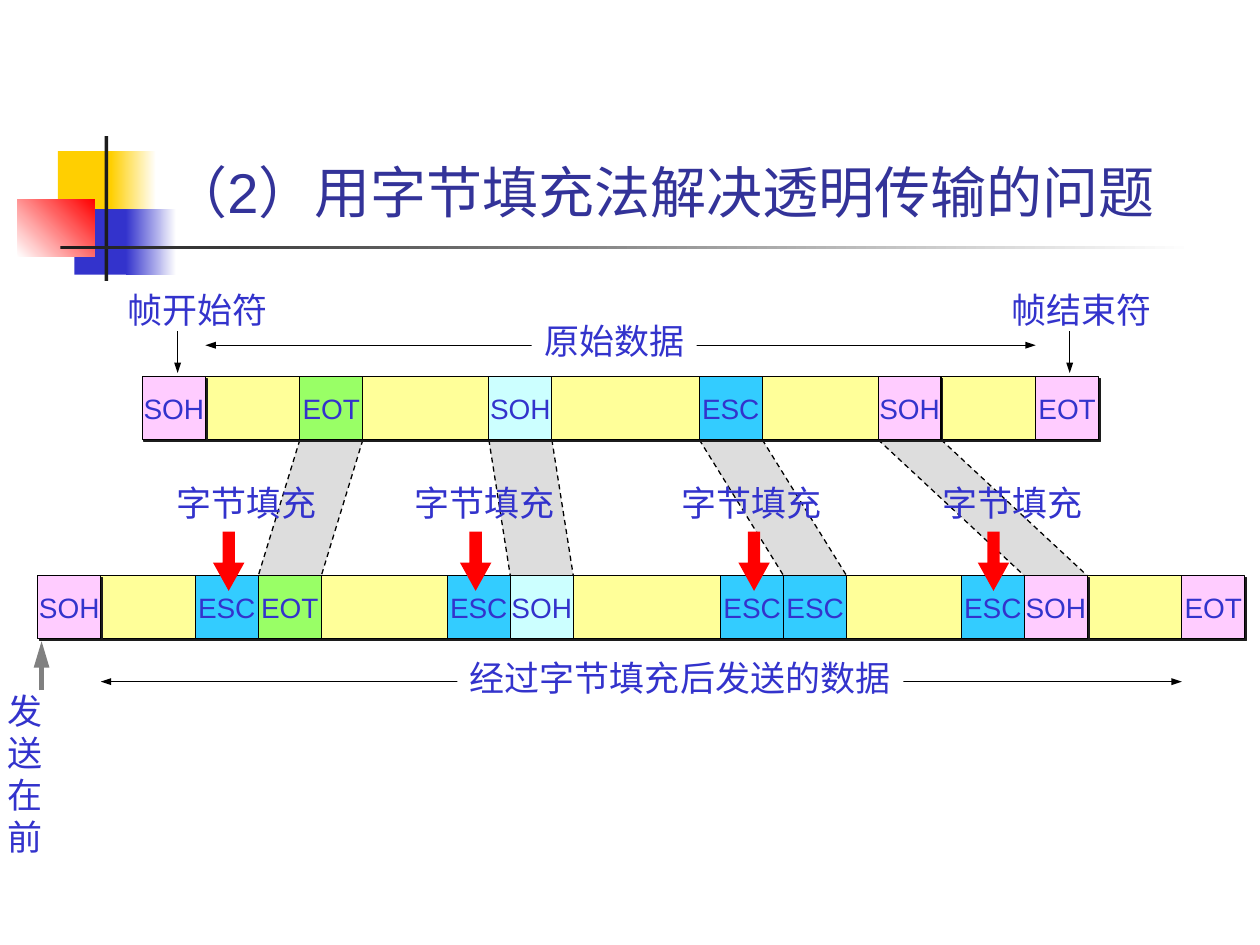
from lxml.etree import SubElement
from pptx import Presentation
from pptx.dml.color import RGBColor
from pptx.enum.dml import MSO_LINE
from pptx.enum.shapes import MSO_CONNECTOR, MSO_SHAPE
from pptx.enum.text import MSO_ANCHOR, MSO_AUTO_SIZE, PP_ALIGN
from pptx.oxml.ns import qn
from pptx.util import Inches, Pt

COLORS = {
    "text": "3333CC", "title": "333399", "line": "000000", "white": "FFFFFF",
    "gold": "FFCF01", "blue": "3333CC", "red": "FF0000", "dark": "1C1C1C",
    "frame": "FFCCFF", "data": "FFFF99", "eot": "99FF66", "soh": "CCFFFF",
    "esc": "33CCFF", "band": "DDDDDD", "grey": "808080",
}
CELL = 0.5
ORIGINAL_TOP, SENT_TOP = 2.99, 4.57

# left, text, colour; the first and last cells delimit the frame
ORIGINAL_CELLS = [
    (1.13, "SOH", "frame"), (2.38, "EOT", "eot"), (3.88, "SOH", "soh"),
    (5.55, "ESC", "esc"), (6.97, "SOH", "frame"), (8.22, "EOT", "frame"),
]
SENT_CELLS = [
    (0.3, "SOH", "frame"), (1.55, "ESC", "esc"), (2.05, "EOT", "eot"),
    (3.55, "ESC", "esc"), (4.05, "SOH", "soh"), (5.72, "ESC", "esc"),
    (6.22, "ESC", "esc"), (7.63, "ESC", "esc"), (8.13, "SOH", "frame"),
    (9.38, "EOT", "frame"),
]
# left of the byte before and after stuffing, of the label and of its arrow
STUFFINGS = [
    (2.38, 2.05, 1.3, 1.69), (3.88, 4.05, 3.19, 3.65),
    (5.55, 6.22, 5.31, 5.86), (6.97, 8.13, 7.38, 7.76),
]


def rgb(name):
    return RGBColor.from_string(COLORS[name])


def write(frame, text, size=20, color="text", align=PP_ALIGN.LEFT,
          anchor=MSO_ANCHOR.TOP, wrap=False, fit=MSO_AUTO_SIZE.NONE):
    frame.text = text
    frame.word_wrap = wrap
    frame.auto_size = fit
    frame.vertical_anchor = anchor
    for paragraph in frame.paragraphs:
        paragraph.alignment = align
        paragraph.font.size = Pt(size)
        paragraph.font.name = "Arial"
        paragraph.font.color.rgb = rgb(color)


def add_block(slide, left, top, width, height, color, kind=MSO_SHAPE.RECTANGLE):
    block = slide.shapes.add_shape(
        kind, Inches(left), Inches(top), Inches(width), Inches(height))
    block.shadow.inherit = False
    block.fill.solid()
    block.fill.fore_color.rgb = rgb(color)
    block.line.fill.background()
    return block


def add_fade(slide, left, top, width, height, start, end, angle=0):
    """Add a rectangle that shades from one colour to another."""
    fade = add_block(slide, left, top, width, height, start)
    fade.fill.gradient()
    fade.fill.gradient_angle = angle
    for stop, color in zip(fade.fill.gradient_stops, (start, end)):
        stop.color.rgb = rgb(color)


def add_hard_shadow(shape):
    effects = shape.element.spPr.find(qn("a:effectLst"))
    shadow = SubElement(effects, qn("a:outerShdw"), dist=str(Pt(1.4)),
                        dir="2700000", algn="ctr", rotWithShape="0")
    SubElement(shadow, qn("a:srgbClr"), val=COLORS["dark"])


def add_cell(slide, left, top, color, width=CELL, text=""):
    cell = add_block(slide, left, top, width, CELL, color)
    cell.line.color.rgb = rgb("line")
    cell.line.width = Pt(0.75)
    if color in ("frame", "data"):
        add_hard_shadow(cell)
    if text:
        write(cell.text_frame, text, size=16, align=PP_ALIGN.CENTER,
              anchor=MSO_ANCHOR.MIDDLE)


def add_byte_row(slide, top, cells):
    start, end = cells[0][0] + CELL, cells[-1][0]
    add_cell(slide, start, top, "data", width=end - start)
    for left, text, color in cells:
        add_cell(slide, left, top, color, text=text)


def add_line(slide, x1, y1, x2, y2, color="line", weight=0.75, dashed=False,
             ends=(), head=("sm", "med")):
    """Add a line; ends lists headEnd and tailEnd, head is its width and length."""
    line = slide.shapes.add_connector(
        MSO_CONNECTOR.STRAIGHT, Inches(x1), Inches(y1), Inches(x2), Inches(y2))
    line.line.color.rgb = rgb(color)
    line.line.width = Pt(weight)
    if dashed:
        line.line.dash_style = MSO_LINE.DASH
    outline = line.line._get_or_add_ln()
    for end in ends:
        SubElement(outline, qn("a:" + end), type="triangle", w=head[0], len=head[1])
    SubElement(line.element.spPr, qn("a:effectLst"))


def add_label(slide, left, top, width, text, height=0.44, filled=False):
    label = slide.shapes.add_textbox(
        Inches(left), Inches(top), Inches(width), Inches(height))
    if filled:
        label.fill.solid()
        label.fill.fore_color.rgb = rgb("white")
    write(label.text_frame, text, fit=MSO_AUTO_SIZE.SHAPE_TO_FIT_TEXT)


def add_band(slide, upper, lower):
    """Link a byte in the upper row to its place in the lower row."""
    top, bottom = ORIGINAL_TOP + CELL, SENT_TOP
    corners = [(upper, top), (upper + CELL, top),
               (lower + CELL, bottom), (lower, bottom)]
    points = [(Inches(x), Inches(y)) for x, y in corners]
    builder = slide.shapes.build_freeform(*points[0])
    builder.add_line_segments(points[1:])
    band = builder.convert_to_shape()
    band.shadow.inherit = False
    band.fill.solid()
    band.fill.fore_color.rgb = rgb("band")
    band.line.fill.background()
    for offset in (0, CELL):
        add_line(slide, upper + offset, top, lower + offset, bottom, dashed=True)


def add_decoration(slide):
    add_block(slide, 0.46, 1.2, 0.48, 0.52, "gold")
    add_fade(slide, 0.88, 1.2, 0.36, 0.52, "gold", "white")
    add_block(slide, 0.59, 1.66, 0.46, 0.52, "blue")
    add_fade(slide, 1, 1.66, 0.4, 0.52, "blue", "white")
    add_fade(slide, 0.14, 1.58, 0.61, 0.46, "white", "red", angle=45)
    add_block(slide, 0.83, 1.08, 0.03, 1.15, "dark")
    add_fade(slide, 0.48, 1.95, 9, 0.03, "dark", "white")


def add_title(slide, text):
    title = slide.shapes.title
    title.left, title.top = Inches(1.26), Inches(0.23)
    title.width, title.height = Inches(8.15), Inches(1.6)
    write(title.text_frame, text, size=32, color="title",
          anchor=MSO_ANCHOR.BOTTOM, wrap=True)


def add_span(slide, cells, y, left, width, text):
    """Mark the data between the delimiters with a labelled double arrow."""
    add_line(slide, cells[0][0] + CELL, y, cells[-1][0], y,
             ends=("headEnd", "tailEnd"))
    add_label(slide, left, y - 0.25, width, text, filled=True)


def main():
    deck = Presentation()
    deck.slide_width, deck.slide_height = Inches(10), Inches(7.5)
    slide = deck.slides.add_slide(deck.slide_layouts[5])

    add_decoration(slide)
    add_title(slide, "（2）用字节填充法解决透明传输的问题")

    for upper, lower, _, _ in STUFFINGS:
        add_band(slide, upper, lower)
    add_byte_row(slide, ORIGINAL_TOP, ORIGINAL_CELLS)
    add_byte_row(slide, SENT_TOP, SENT_CELLS)
    add_span(slide, ORIGINAL_CELLS, 2.74, 4.22, 1.31, "原始数据")
    add_span(slide, SENT_CELLS, 5.41, 3.63, 3.54, "经过字节填充后发送的数据")

    for _, _, label_left, arrow_left in STUFFINGS:
        add_label(slide, label_left, 3.77, 1.31, "字节填充")
        arrow = add_block(slide, arrow_left, 4.22, 0.25, 0.47, "red",
                          MSO_SHAPE.DOWN_ARROW)
        arrow.adjustments[0], arrow.adjustments[1] = 0.39, 0.9

    for left, arrow_x, text in [(0.91, 1.41, "帧开始符"), (7.93, 8.49, "帧结束符")]:
        add_label(slide, left, 2.24, 1.31, text)
        add_line(slide, arrow_x, 2.63, arrow_x, 2.96, ends=("tailEnd",))

    add_line(slide, 0.33, 5.48, 0.33, 5.09, color="grey", weight=3,
             ends=("tailEnd",), head=("med", "lg"))
    add_label(slide, -0.04, 5.42, 0.75, "发送\n在前", height=0.77)

    deck.save("out.pptx")


if __name__ == "__main__":
    main()
